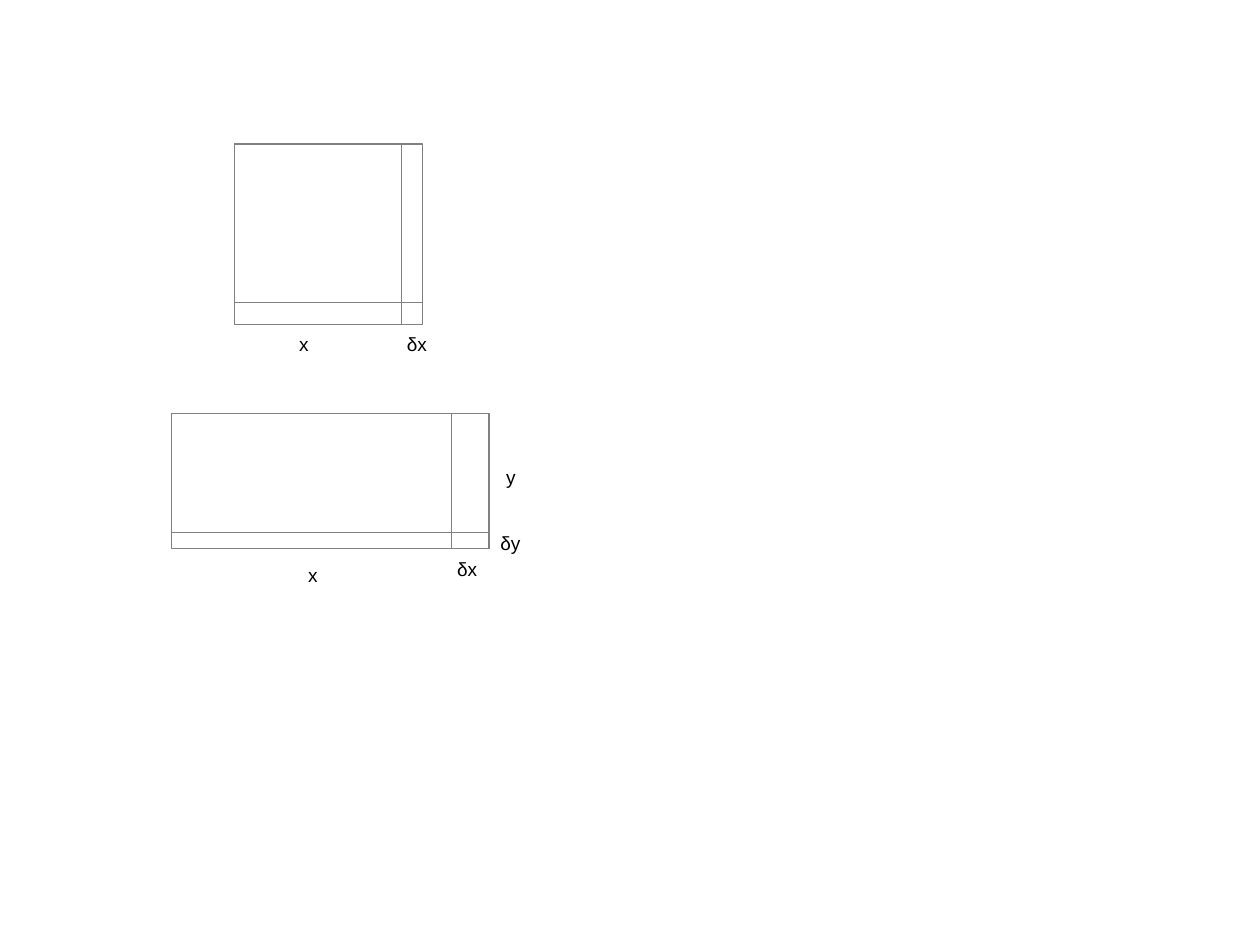
"""Draw a square and a rectangle, each enlarged by small increments of its sides."""
from pptx import Presentation
from pptx.dml.color import RGBColor
from pptx.enum.shapes import MSO_SHAPE as Shape
from pptx.enum.text import MSO_ANCHOR as Anchor, MSO_AUTO_SIZE as AutoSize
from pptx.util import Cm, Pt

OUTLINE = RGBColor(0x80, 0x80, 0x80)
INK = RGBColor(0x00, 0x00, 0x00)

LABEL_FRAME = {
    "word_wrap": True,
    "auto_size": AutoSize.SHAPE_TO_FIT_TEXT,
    "vertical_anchor": Anchor.TOP,
    "margin_left": Cm(0.25),
    "margin_right": Cm(0.25),
    "margin_top": Cm(0.13),
    "margin_bottom": Cm(0.13),
}
LABEL_FONT = {"name": "Arial", "size": Pt(12)}

presentation = Presentation()
presentation.slide_width = Cm(28)
presentation.slide_height = Cm(21)
slide = presentation.slides.add_slide(presentation.slide_layouts[6])

# left, top, x, y, δx, δy
areas = [
    (5.21, 3.2, 3.71, 3.53, 0.48, 0.48),
    (3.81, 9.19, 6.22, 2.65, 0.84, 0.35),
]
for left, top, x, y, dx, dy in areas:
    enlarged = (left, top, x + dx, y + dy)
    initial = (left, top, x, y)
    corner = (left + x, top + y, dx, dy)
    for region in (enlarged, initial, corner):
        outline = slide.shapes.add_shape(Shape.RECTANGLE, *map(Cm, region))
        outline.shadow.inherit = False
        outline.fill.background()
        outline.line.color.rgb = OUTLINE
        outline.line.width = Pt(0)

labels = [
    ("x", 6.4, 7.26, 0.61, 0.74),
    ("δx", 8.79, 7.26, 1.19, 0.74),
    ("x", 6.6, 12.4, 0.61, 0.74),
    ("δx", 9.91, 12.27, 1.19, 0.74),
    ("y", 11, 10.21, 0.61, 1.68),
    ("δy", 10.87, 11.68, 1.19, 0.74),
]
for wording, *place in labels:
    frame = slide.shapes.add_textbox(*map(Cm, place)).text_frame
    for attribute, value in LABEL_FRAME.items():
        setattr(frame, attribute, value)
    run = frame.paragraphs[0].add_run()
    run.text = wording
    for attribute, value in LABEL_FONT.items():
        setattr(run.font, attribute, value)
    run.font.color.rgb = INK

presentation.save("out.pptx")
